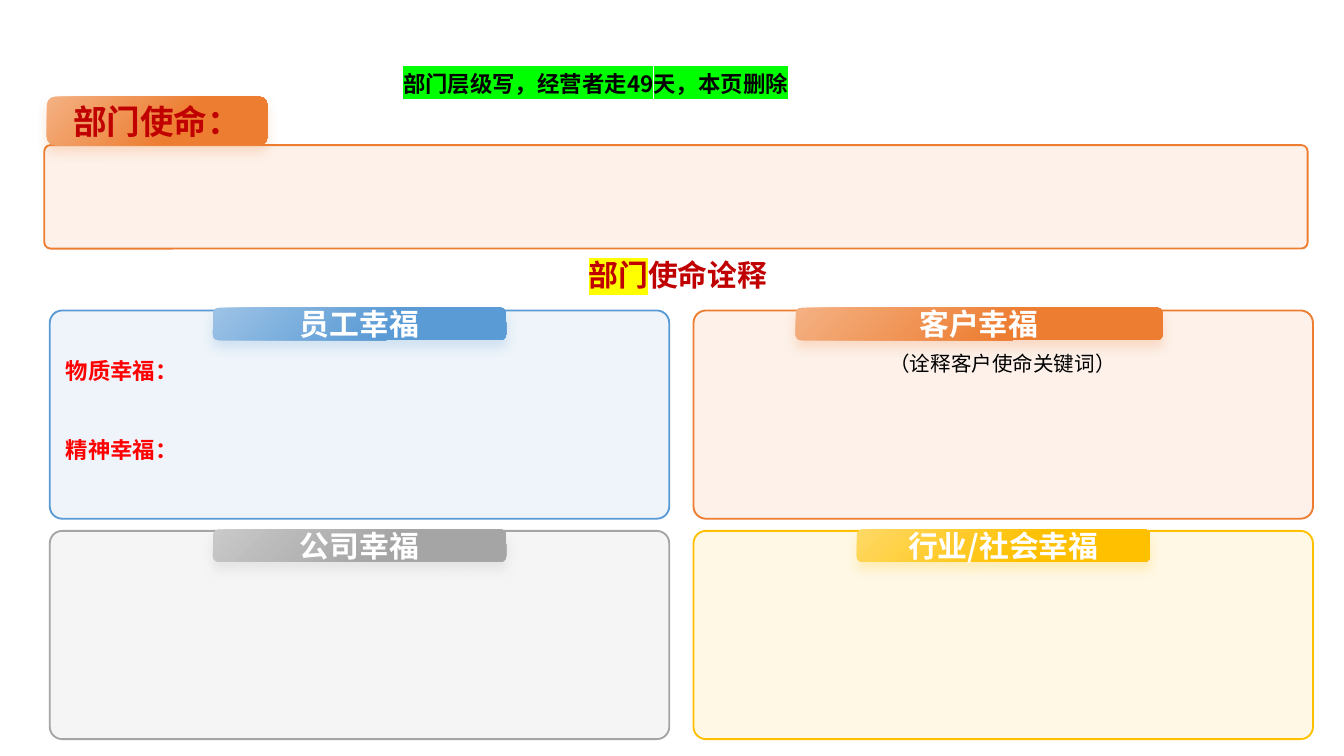
from lxml.etree import SubElement
from pptx import Presentation
from pptx.dml.color import RGBColor
from pptx.enum.shapes import MSO_SHAPE as SHAPE
from pptx.enum.text import MSO_ANCHOR as ANCHOR, PP_ALIGN as ALIGN
from pptx.oxml.ns import qn
from pptx.util import Inches, Pt

NOTO, CALIBRI = "Noto Sans CJK SC", "Calibri"
BLACK, WHITE = RGBColor(0, 0, 0), RGBColor(255, 255, 255)
RED, CRIMSON = RGBColor(255, 0, 0), RGBColor(0xC0, 0, 0)
YELLOW, GREEN = RGBColor(255, 255, 0), RGBColor(0, 255, 0)
# (light, strong) pairs
ORANGE = RGBColor(0xF4, 0xB1, 0x83), RGBColor(0xED, 0x7D, 0x31)
BLUE = RGBColor(0x9D, 0xC3, 0xE6), RGBColor(0x5B, 0x9B, 0xD5)
GRAY = RGBColor(0xC9, 0xC9, 0xC9), RGBColor(0xA5, 0xA5, 0xA5)
GOLD = RGBColor(0xFF, 0xD9, 0x66), RGBColor(0xFF, 0xC0, 0x00)

NOTICE = "部门层级写，经营者走49天，本页删除"
MISSION = "部门使命："
HEADING = [("部门", YELLOW), ("使命诠释", None)]
STAFF = ["物质幸福：", "精神幸福："]
CLIENT = "（诠释客户使命关键词）"
# title, colours, tag width, tag shift from the panel centre
PANELS = [
    ("员工幸福", BLUE, 2.18, 0),
    ("客户幸福", ORANGE, 2.73, -0.18),
    ("公司幸福", GRAY, 2.18, 0),
    ("行业/社会幸福", GOLD, 2.18, 0),
]
LEFT, TOP, WIDE, HIGH = 0.37, 2.31, 4.61, 1.55
STEP_X, STEP_Y = 4.79, 1.64
TAG_TOP, TAG_STEP = 2.29, 1.65

deck = Presentation()
deck.slide_width = Inches(10)
deck.slide_height = deck.slide_width * 9 // 16
slide = deck.slides.add_slide(deck.slide_layouts[6])


def style(run, size, color, bold=True, face=NOTO, mark=None):
    font = run.font
    font.size, font.bold, font.name = Pt(size), bold, face
    font.color.rgb = color
    props = font._element
    props.find(qn("a:latin")).addnext(props.makeelement(qn("a:ea"), {"typeface": face}))
    if mark:
        tint = props.makeelement(qn("a:highlight"), {})
        SubElement(tint, qn("a:srgbClr"), val=str(mark))
        props.find(qn("a:solidFill")).addnext(tint)


def add_box(x, y, w, h):
    box = slide.shapes.add_textbox(*map(Inches, (x, y, w, h)))
    box.text_frame.word_wrap = True
    return box.text_frame


def add_round(x, y, w, h):
    shape = slide.shapes.add_shape(SHAPE.ROUNDED_RECTANGLE, *map(Inches, (x, y, w, h)))
    shape.shadow.inherit = False
    return shape


def add_panel(x, y, w, h, color):
    panel = add_round(x, y, w, h)
    panel.adjustments[0] = 0.06
    panel.fill.solid()
    panel.fill.fore_color.rgb = color
    tone = panel._element.spPr.find(qn("a:solidFill"))[0]
    SubElement(tone, qn("a:alpha"), val="10000")
    panel.line.color.rgb = color
    panel.line.width = Pt(1)


def add_tag(x, y, w, h, text, colors, **look):
    """Add a gradient label with a soft shadow in its own colour."""
    tag = add_round(x, y, w, h)
    tag.line.fill.background()
    tag.fill.gradient()
    tag.fill.gradient_angle = 315
    for stop, color, place in zip(tag.fill.gradient_stops, colors, (0, 0.6)):
        stop.color.rgb, stop.position = color, place
    shade = SubElement(tag._element.spPr.find(qn("a:effectLst")), qn("a:outerShdw"),
                       blurRad=str(Pt(6)), dist=str(Pt(4)), dir="5400000",
                       algn="t", rotWithShape="0")
    tone = SubElement(shade, qn("a:srgbClr"), val=str(colors[1]))
    SubElement(tone, qn("a:alpha"), val="20000")
    frame = tag.text_frame
    frame.word_wrap, frame.vertical_anchor = False, ANCHOR.MIDDLE
    frame.text = text
    line = frame.paragraphs[0]
    line.alignment = ALIGN.CENTER
    style(line.runs[0], **look)


# Heading
line = add_box(-0.02, 1.73, 10.13, 0.5).paragraphs[0]
line.alignment, line.line_spacing = ALIGN.CENTER, 1.5
for text, mark in HEADING:
    run = line.add_run()
    run.text = text
    style(run, 16, CRIMSON, face=CALIBRI, mark=mark)

# Mission and notice
add_panel(0.33, 1.08, 9.4, 0.77, ORANGE[1])
frame = add_box(2.95, 0.37, 3.26, 0.43)
frame.margin_left = frame.margin_right = Inches(0.05)
frame.text = NOTICE
line = frame.paragraphs[0]
line.alignment, line.line_spacing = ALIGN.JUSTIFY, 1.5
props = line._p.get_or_add_pPr()
props.set("marL", str(Inches(0.38)))
props.set("indent", str(Inches(-0.38)))
style(line.runs[0], 12, BLACK, mark=GREEN)

# Four panels
for i, (title, colors, width, shift) in enumerate(PANELS):
    row, col = divmod(i, 2)
    x = LEFT + col * STEP_X
    add_panel(x, TOP + row * STEP_Y, WIDE, HIGH, colors[1])
    add_tag(x + (WIDE - width) / 2 + shift, TAG_TOP + row * TAG_STEP, width, 0.24,
            title, colors, size=16, color=WHITE)

frame = add_box(0.39, 2.61, 4.52, 1.25)
frame.text = "\n".join(STAFF)
for line in frame.paragraphs:
    style(line.runs[0], 12, RED)
frame.paragraphs[1].space_before = Pt(28)

frame = add_box(5.2, 2.56, 4.52, 0.82)
frame.text = CLIENT
line = frame.paragraphs[0]
line.alignment = ALIGN.CENTER
style(line.runs[0], 11, BLACK, bold=False)

add_tag(0.35, 0.72, 1.64, 0.36, MISSION, ORANGE, size=18, color=CRIMSON, face=CALIBRI)

deck.save("out.pptx")
